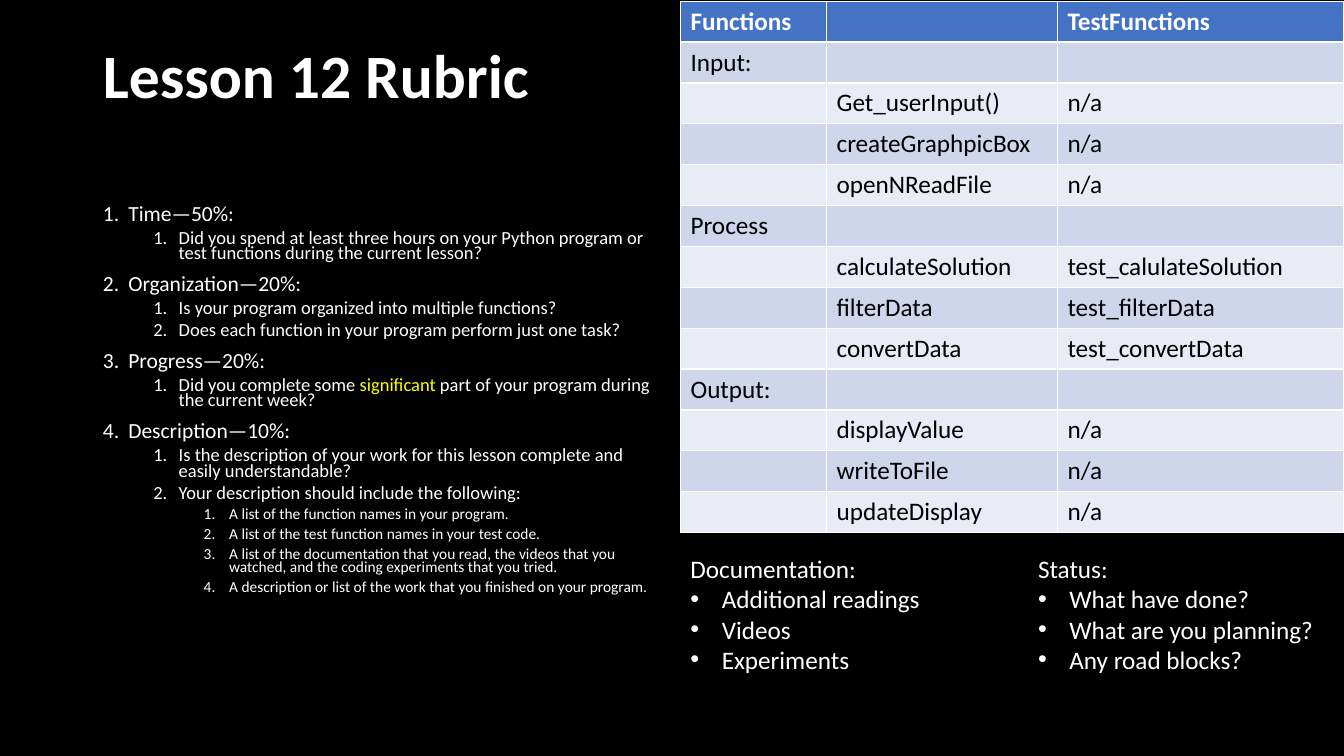
from lxml import etree
from pptx import Presentation
from pptx.dml.color import RGBColor
from pptx.enum.text import MSO_ANCHOR, MSO_AUTO_SIZE, PP_ALIGN
from pptx.oxml.ns import qn
from pptx.util import Cm, Pt

TOP, LEFT = MSO_ANCHOR.TOP, PP_ALIGN.LEFT
NO_FIT, GROW = MSO_AUTO_SIZE.NONE, MSO_AUTO_SIZE.SHAPE_TO_FIT_TEXT
FONT = "Calibri"
COLORS = {"background": "000000", "light": "FFFFFF", "dark": "000000",
          "highlight": "FFFF00", "header": "4472C4",
          "odd_row": "CFD5EA", "even_row": "E9EBF5"}

TITLE = "Lesson 12 Rubric"
HIGHLIGHTED = "significant"
RUBRIC = [  # (level, text)
    (0, "Time—50%:"),
    (1, "Did you spend at least three hours on your Python program or test functions during the current lesson?"),
    (0, "Organization—20%:"),
    (1, "Is your program organized into multiple functions?"),
    (1, "Does each function in your program perform just one task?"),
    (0, "Progress—20%:"),
    (1, "Did you complete some significant part of your program during the current week?"),
    (0, "Description—10%:"),
    (1, "Is the description of your work for this lesson complete and easily understandable?"),
    (1, "Your description should include the following:"),
    (2, "A list of the function names in your program."),
    (2, "A list of the test function names in your test code."),
    (2, "A list of the documentation that you read, the videos that you watched, and the coding experiments that you tried."),
    (2, "A description or list of the work that you finished on your program."),
]
LEVEL_SIZES = [15.4, 13.2, 11]
LEVEL_SPACING = [10, 5, 5]

FUNCTIONS = [
    ("Functions", "", "TestFunctions"),
    ("Input:", "", ""),
    ("", "Get_userInput()", "n/a"),
    ("", "createGraphpicBox", "n/a"),
    ("", "openNReadFile", "n/a"),
    ("Process", "", ""),
    ("", "calculateSolution", "test_calulateSolution"),
    ("", "filterData", "test_filterData"),
    ("", "convertData", "test_convertData"),
    ("Output:", "", ""),
    ("", "displayValue", "n/a"),
    ("", "writeToFile", "n/a"),
    ("", "updateDisplay", "n/a"),
]
COLUMN_WIDTHS = [3.68, 5.82, 7.21]
ROW_HEIGHT = 1.03
TABLE_LEFT = 17.15

NOTES = [  # (left, width, heading, items)
    (TABLE_LEFT, 6.38, "Documentation:", ["Additional readings", "Videos", "Experiments"]),
    (25.91, 7.54, "Status:", ["What have done?", "What are you planning?", "Any road blocks?"]),
]


def color(name):
    return RGBColor.from_string(COLORS[name])


def style(span, size, color_name="light", bold=False):
    span.font.name = FONT
    span.font.size = Pt(size)
    span.font.bold = bold
    span.font.color.rgb = color(color_name)


def place(box, left, top, width, height):
    box.left, box.top, box.width, box.height = map(Cm, (left, top, width, height))


def add_marker(para, left, hanging, font, tag, **attributes):
    """Give a paragraph a hanging indent with a bullet or a number."""
    properties = para._p.get_or_add_pPr()
    properties.set("marL", str(Cm(left)))
    properties.set("indent", str(-Cm(hanging)))
    etree.SubElement(properties, qn("a:buFont")).set("typeface", font)
    etree.SubElement(properties, qn(tag), attributes)


def paragraphs(frame, count):
    return [frame.paragraphs[0]] + [frame.add_paragraph() for _ in range(count - 1)]


def fill_title(box):
    place(box, 2.34, 1.02, 29.21, 3.68)
    frame = box.text_frame
    frame.text = TITLE
    frame.vertical_anchor = TOP
    frame.auto_size = NO_FIT
    para = frame.paragraphs[0]
    para.alignment = LEFT
    para.line_spacing = 0.9
    style(para.runs[0], 44, bold=True)


def fill_rubric(box):
    place(box, 2.34, 5.08, 14.4, 12.09)
    frame = box.text_frame
    frame.auto_size = NO_FIT
    for para, (level, text) in zip(paragraphs(frame, len(RUBRIC)), RUBRIC):
        para.level = level
        para.line_spacing = 0.7
        para.space_before = Pt(LEVEL_SPACING[level])
        add_marker(para, 0.64 + 1.27 * level, 0.64, "+mj-lt",
                   "a:buAutoNum", type="arabicPeriod")
        for part in text.partition(HIGHLIGHTED):
            if part:
                span = para.add_run()
                span.text = part
                style(span, LEVEL_SIZES[level],
                      "highlight" if part == HIGHLIGHTED else "light")


def add_functions_table(slide):
    table = slide.shapes.add_table(
        len(FUNCTIONS), len(COLUMN_WIDTHS), Cm(TABLE_LEFT), Cm(0.03),
        Cm(sum(COLUMN_WIDTHS)), Cm(ROW_HEIGHT * len(FUNCTIONS))).table
    for column, width in zip(table.columns, COLUMN_WIDTHS):
        column.width = Cm(width)
    for index, texts in enumerate(FUNCTIONS):
        table.rows[index].height = Cm(ROW_HEIGHT)
        is_header = index == 0
        fill = "header" if is_header else "odd_row" if index % 2 else "even_row"
        for cell, text in zip(table.rows[index].cells, texts):
            cell.fill.solid()
            cell.fill.fore_color.rgb = color(fill)
            if text:
                cell.text = text
                style(cell.text_frame.paragraphs[0].runs[0], 18,
                      "light" if is_header else "dark", is_header)


def add_note(slide, left, width, heading, items):
    box = slide.shapes.add_textbox(Cm(left), Cm(13.82), Cm(width), Cm(3.33))
    frame = box.text_frame
    frame.word_wrap = False
    frame.auto_size = GROW
    lines = [heading] + items
    for para, text in zip(paragraphs(frame, len(lines)), lines):
        para.text = text
        style(para.runs[0], 18)
        if text != heading:
            add_marker(para, 0.79, 0.79, "Arial", "a:buChar", char="•")


def main():
    deck = Presentation()
    deck.slide_width, deck.slide_height = Cm(33.87), Cm(19.05)
    slide = deck.slides.add_slide(deck.slide_layouts[1])
    slide.background.fill.solid()
    slide.background.fill.fore_color.rgb = color("background")
    fill_title(slide.shapes.title)
    fill_rubric(slide.placeholders[1])
    add_functions_table(slide)
    for note in NOTES:
        add_note(slide, *note)
    deck.save("out.pptx")


if __name__ == "__main__":
    main()
